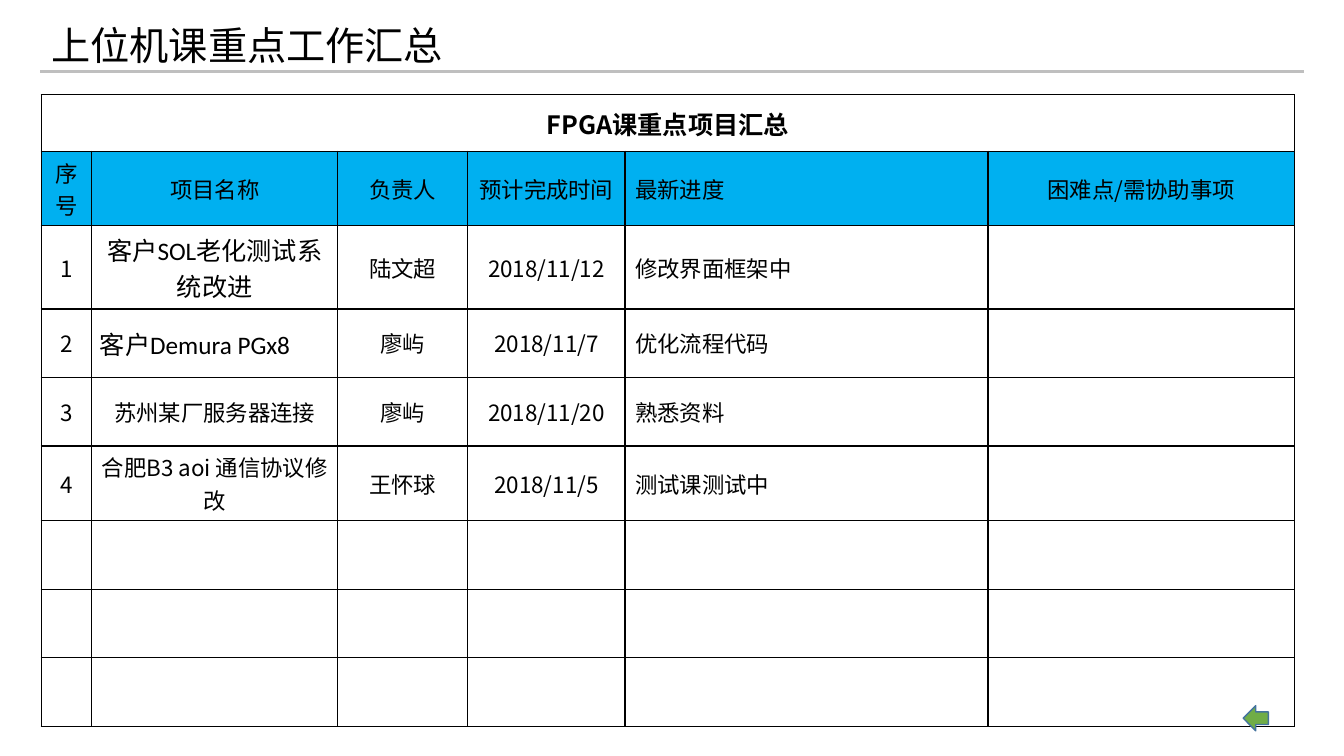
from dataclasses import dataclass

from lxml.etree import SubElement
from pptx import Presentation
from pptx.dml.color import RGBColor
from pptx.enum.shapes import MSO_CONNECTOR as Link, MSO_SHAPE as Shape
from pptx.enum.text import MSO_ANCHOR as Anchor, PP_ALIGN as Align
from pptx.oxml.ns import qn
from pptx.util import Inches, Pt

BLACK = RGBColor(0x00, 0x00, 0x00)
GREY = RGBColor(0xBF, 0xBF, 0xBF)
BLUE = RGBColor(0x00, 0xB0, 0xF0)
GREEN = RGBColor(0x70, 0xAD, 0x47)
NAVY = RGBColor(0x43, 0x73, 0x9E)
SANS = "Noto Sans CJK SC"
LATIN = "Calibri"


@dataclass
class Column:
    head: str
    width: float
    align: Align = Align.CENTER
    head_align: Align = Align.CENTER


@dataclass
class Task:
    name: str
    owner: str
    due: str
    state: str
    font: str = SANS
    size: int = 16
    align: Align = Align.CENTER


COLUMNS = [
    Column("序号", 0.5),
    Column("项目名称", 2.44),
    Column("负责人", 1.29),
    Column("预计完成时间", 1.56),
    Column("最新进度", 3.6, Align.LEFT, Align.LEFT),
    Column("困难点/需协助事项", 3.04),
]
TASKS = [
    Task("客户SOL老化测试系统改进", "陆文超", "2018/11/12", "修改界面框架中", LATIN, 18),
    Task("客户Demura PGx8", "廖屿", "2018/11/7", "优化流程代码", LATIN, 18, Align.LEFT),
    Task("苏州某厂服务器连接", "廖屿", "2018/11/20", "熟悉资料"),
    Task("合肥B3 aoi 通信协议修改", "王怀球", "2018/11/5", "测试课测试中"),
]
HEIGHTS = [0.56, 0.74, 0.57] + [0.68] * 6


def style(para, size: float, font: str = SANS, bold: bool = False) -> None:
    """Format every run, for Latin and East Asian letters alike."""
    for run in para.runs:
        run.font.size = Pt(size)
        run.font.bold = bold
        run.font.color.rgb = BLACK
        run.font.name = font
        SubElement(run.font._element, qn("a:ea"), typeface=SANS)


def write(cell, text: str, align: Align, size: float = 16,
          font: str = SANS, bold: bool = False) -> None:
    para = cell.text_frame.paragraphs[0]
    para.text = text
    para.alignment = align
    style(para, size, font, bold)


def border(cell) -> None:
    props = cell._tc.get_or_add_tcPr()
    for side in ("lnL", "lnR", "lnT", "lnB"):
        line = SubElement(props, qn(f"a:{side}"), w=str(Pt(1)))
        fill = SubElement(line, qn("a:solidFill"))
        SubElement(fill, qn("a:srgbClr"), val=str(BLACK))


def add_title(slide) -> None:
    title = slide.shapes.title
    title.left, title.top = Inches(0.41), Inches(0.16)
    title.width, title.height = Inches(9.33), Inches(0.62)
    frame = title.text_frame
    frame.text = "上位机课重点工作汇总"
    frame.vertical_anchor = Anchor.MIDDLE
    para = frame.paragraphs[0]
    para.alignment = Align.LEFT
    para.line_spacing = 0.9
    style(para, 28)


def add_rule(slide) -> None:
    rule = slide.shapes.add_connector(
        Link.STRAIGHT, Inches(0.4), Inches(0.71), Inches(12.93), Inches(0.71))
    rule.line.color.rgb = GREY
    rule.line.width = Pt(2.25)
    SubElement(rule._element.spPr, qn("a:effectLst"))


def add_grid(slide) -> None:
    grid = slide.shapes.add_table(
        len(HEIGHTS), len(COLUMNS), Inches(0.41), Inches(0.94),
        Inches(12.42), Inches(sum(HEIGHTS))).table
    grid.first_row = grid.horz_banding = False
    for row, height in zip(grid.rows, HEIGHTS):
        row.height = Inches(height)
    for col, plan in zip(grid.columns, COLUMNS):
        col.width = Inches(plan.width)
    for num, row in enumerate(grid.rows):
        for cell in row.cells:
            border(cell)
            cell.vertical_anchor = Anchor.MIDDLE
            if num == 1:
                cell.fill.solid()
                cell.fill.fore_color.rgb = BLUE
            else:
                cell.fill.background()

    # Caption and column heads
    grid.cell(0, 0).merge(grid.cell(0, len(COLUMNS) - 1))
    write(grid.cell(0, 0), "FPGA课重点项目汇总", Align.CENTER, 18, bold=True)
    for col, plan in enumerate(COLUMNS):
        write(grid.cell(1, col), plan.head, plan.head_align)

    # Tasks
    for num, task in enumerate(TASKS, 1):
        texts = [str(num), task.name, task.owner, task.due, task.state]
        for col, text in enumerate(texts):
            cell = grid.cell(num + 1, col)
            if col == 1:
                write(cell, text, task.align, task.size, task.font)
                if task.align == Align.LEFT:
                    cell.margin_left = cell.margin_right = Inches(0.08)
                    cell.margin_top = cell.margin_bottom = Inches(0.08)
            else:
                write(cell, text, COLUMNS[col].align)


def add_arrow(slide) -> None:
    arrow = slide.shapes.add_shape(
        Shape.LEFT_ARROW, Inches(12.33), Inches(7), Inches(0.25), Inches(0.25))
    arrow.shadow.inherit = False
    arrow.fill.solid()
    arrow.fill.fore_color.rgb = GREEN
    arrow.line.color.rgb = NAVY
    arrow.line.width = Pt(1)


def main() -> None:
    deck = Presentation()
    deck.slide_width, deck.slide_height = Inches(13.33), Inches(7.5)
    slide = deck.slides.add_slide(deck.slide_layouts[0])
    spare = slide.placeholders[1].element
    spare.getparent().remove(spare)
    add_rule(slide)
    add_title(slide)
    add_grid(slide)
    add_arrow(slide)
    deck.save("out.pptx")


if __name__ == "__main__":
    main()
